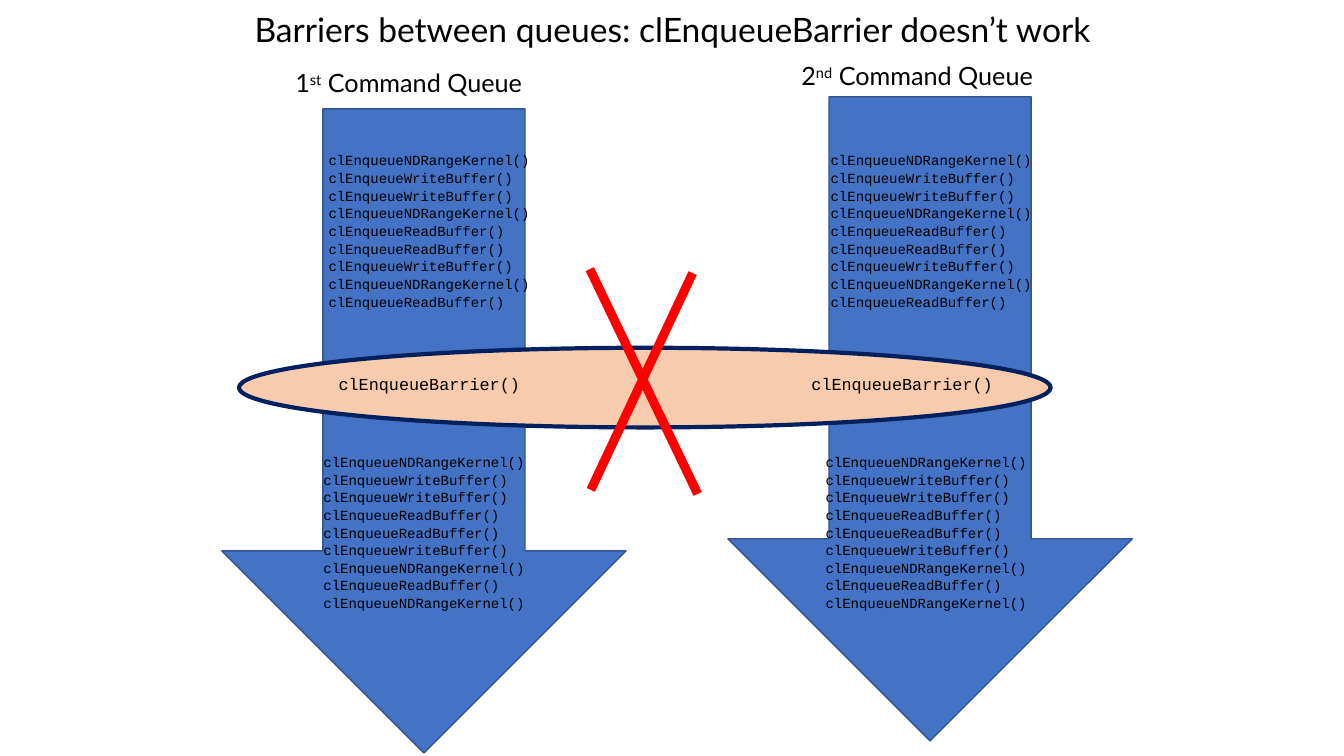
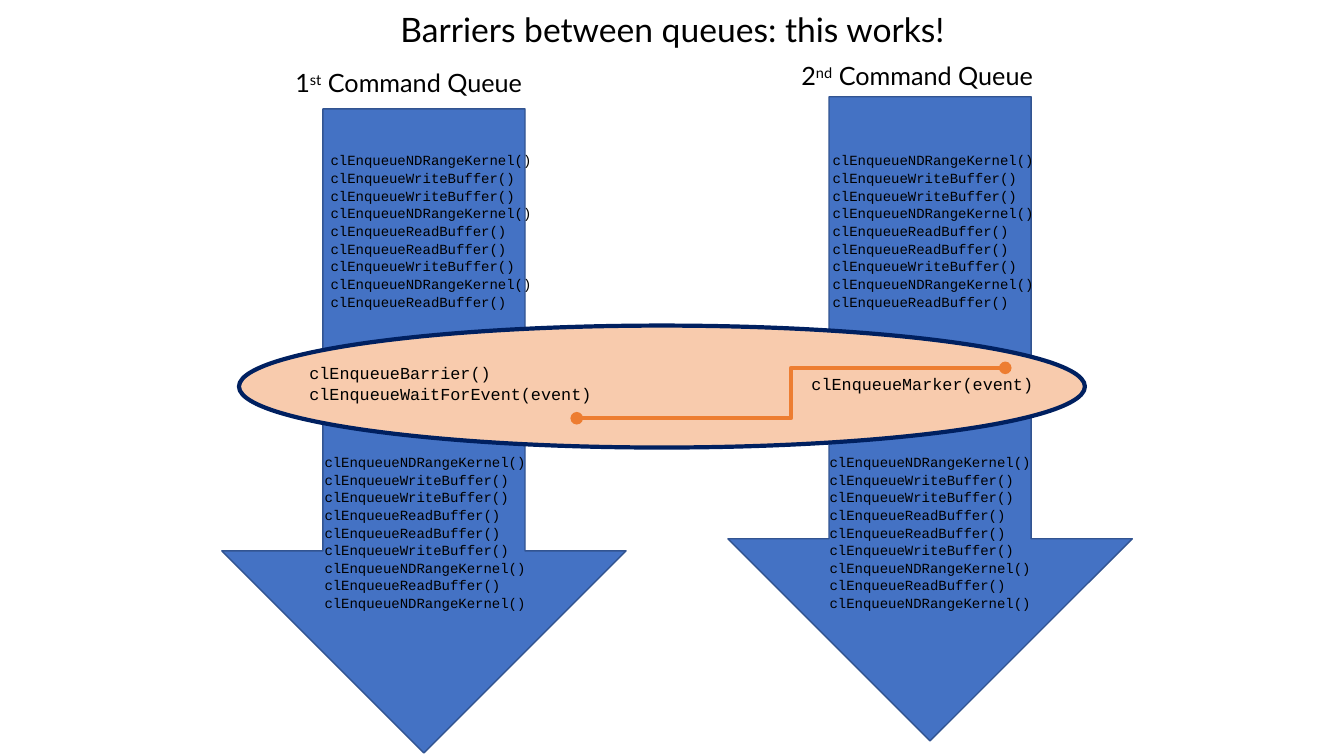
"""Build two slides on barriers between command queues."""
from dataclasses import dataclass

from lxml.etree import SubElement
from pptx import Presentation
from pptx.dml.color import RGBColor as RGB
from pptx.enum.shapes import MSO_CONNECTOR as LINK, MSO_SHAPE as SHAPE
from pptx.enum.text import MSO_ANCHOR as ANCHOR, MSO_AUTO_SIZE as FIT, PP_ALIGN as ALIGN
from pptx.oxml.ns import qn
from pptx.util import Inches, Pt


@dataclass(frozen=True)
class Theme:
    text: str = "000000"
    arrow: str = "4472C4"
    arrow_edge: str = "325491"
    barrier: str = "F8CBAD"
    barrier_edge: str = "002060"
    cross: str = "FF0000"
    event: str = "ED7D31"
    heading_font: str = "Lato"
    code_font: str = "Courier New"
    title_size: float = 24
    label_size: float = 18
    call_size: float = 12
    list_size: float = 10
    code_spacing: float = 1.05


THEME = Theme()

KERNEL = "clEnqueueNDRangeKernel()"
WRITE = "clEnqueueWriteBuffer()"
READ = "clEnqueueReadBuffer()"
CALLS_BEFORE = [KERNEL, WRITE, WRITE, KERNEL, READ, READ, WRITE, KERNEL, READ]
CALLS_AFTER = [KERNEL, WRITE, WRITE, READ, READ, WRITE, KERNEL, f"{READ} {KERNEL}"]


class Deck:
    def __init__(self, theme):
        self.theme = theme
        self.prs = Presentation()
        self.prs.slide_width, self.prs.slide_height = Inches(13.33), Inches(7.5)
        self.slide = None

    def add_slide(self, heading):
        self.slide = self.prs.slides.add_slide(self.prs.slide_layouts[5])
        title = self.slide.shapes.title
        title.left, title.top, title.width, title.height = map(Inches, (1.67, -0.34, 10, 1.25))
        frame = title.text_frame
        frame.word_wrap = True
        frame.auto_size = FIT.NONE
        frame.vertical_anchor = ANCHOR.MIDDLE
        paragraph = frame.paragraphs[0]
        paragraph.alignment = ALIGN.CENTER
        self.run(paragraph, heading, self.theme.title_size, self.theme.heading_font)

    def run(self, paragraph, words, size, font):
        run = paragraph.add_run()
        run.text = words
        run.font.size = Pt(size)
        run.font.name = font
        run.font.color.rgb = RGB.from_string(self.theme.text)
        return run

    def shape(self, preset, box, fill, edge, weight):
        shape = self.slide.shapes.add_shape(preset, *map(Inches, box))
        shape.shadow.inherit = False
        shape.fill.solid()
        shape.fill.fore_color.rgb = RGB.from_string(fill)
        shape.line.color.rgb = RGB.from_string(edge)
        shape.line.width = Pt(weight)

    def queue(self, left, top):
        self.shape(SHAPE.DOWN_ARROW, (left, top, 4.01, 6.39),
                   self.theme.arrow, self.theme.arrow_edge, 1)

    def barrier(self, box):
        self.shape(SHAPE.OVAL, box, self.theme.barrier, self.theme.barrier_edge, 3)

    def label(self, box, number, suffix):
        frame = self.slide.shapes.add_textbox(*map(Inches, box)).text_frame
        frame.word_wrap = False
        paragraph = frame.paragraphs[0]
        for words in (number, suffix, " Command Queue"):
            run = self.run(paragraph, words, self.theme.label_size, self.theme.heading_font)
            if words == suffix:
                run.font._element.set("baseline", "30000")

    def code(self, box, calls, size):
        frame = self.slide.shapes.add_textbox(*map(Inches, box)).text_frame
        frame.word_wrap = True
        for index, call in enumerate(calls):
            paragraph = frame.add_paragraph() if index else frame.paragraphs[0]
            paragraph.line_spacing = self.theme.code_spacing
            self.run(paragraph, call, size, self.theme.code_font)

    def line(self, kind, start, end, color, weight, ends=None):
        link = self.slide.shapes.add_connector(kind, *map(Inches, (*start, *end)))
        link.line.color.rgb = RGB.from_string(color)
        link.line.width = Pt(weight)
        properties = link._element.spPr
        if ends:
            for tag in ("a:headEnd", "a:tailEnd"):
                SubElement(properties.find(qn("a:ln")), qn(tag), type=ends)
        SubElement(properties, qn("a:effectLst"))


def add_queues(deck, heading, before_lefts, after_lefts):
    deck.add_slide(heading)
    deck.queue(2.2, 1.08)
    deck.queue(7.22, 0.96)
    deck.label((2.83, 0.62, 2.75, 0.4), "1", "st")
    deck.label((7.85, 0.55, 2.8, 0.4), "2", "nd")
    for before_left, after_left in zip(before_lefts, after_lefts):
        deck.code((before_left, 1.45, 2.22, 1.58), CALLS_BEFORE, deck.theme.list_size)
        deck.code((after_left, 4.44, 2.22, 1.58), CALLS_AFTER, deck.theme.list_size)


deck = Deck(THEME)

add_queues(deck, "Barriers between queues: clEnqueueBarrier doesn’t work",
           (3.16, 8.14), (3.11, 8.09))
deck.barrier((2.37, 3.45, 8.05, 0.79))
for call_left in (3.26, 7.95):
    deck.code((call_left, 3.65, 2.24, 0.3), ["clEnqueueBarrier()"], THEME.call_size)
for start, end in (((5.86, 4.86), (6.87, 2.71)), ((6.92, 4.9), (5.85, 2.67))):
    deck.line(LINK.STRAIGHT, start, end, THEME.cross, 6.5)

add_queues(deck, "Barriers between queues: this works!", (3.18, 8.16), (3.12, 8.13))
deck.barrier((2.37, 3.23, 8.39, 1.21))
deck.code((2.97, 3.54, 3.1, 0.49),
          ["clEnqueueBarrier()", "clEnqueueWaitForEvent(event)"], THEME.call_size)
deck.code((7.95, 3.65, 2.52, 0.3), ["clEnqueueMarker(event)"], THEME.call_size)
deck.line(LINK.ELBOW, (5.72, 4.15), (9.97, 3.65), THEME.event, 3, ends="oval")

deck.prs.save("out.pptx")
